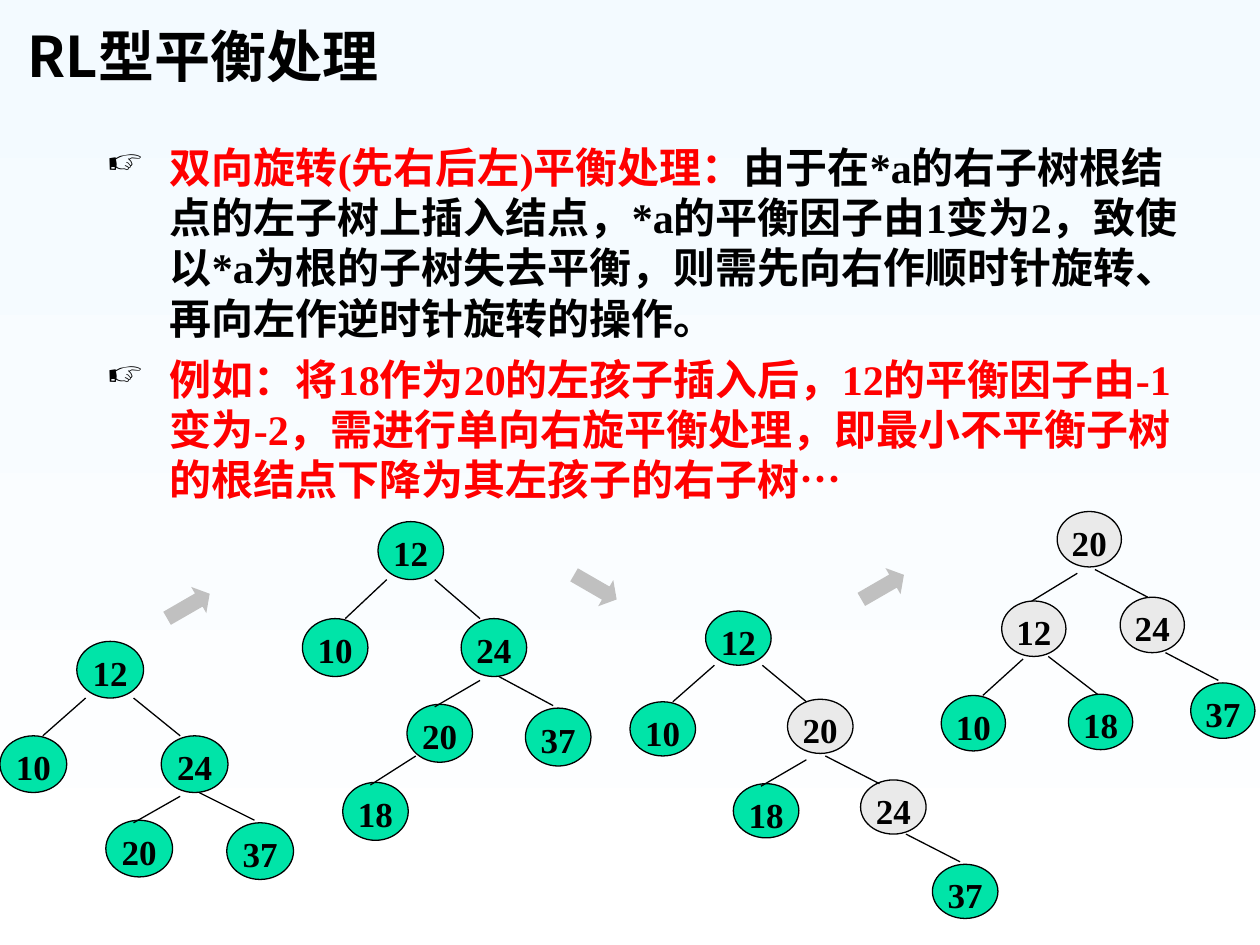
from lxml.etree import SubElement
from pptx import Presentation
from pptx.dml.color import RGBColor
from pptx.enum.shapes import MSO_CONNECTOR, MSO_SHAPE
from pptx.enum.text import MSO_ANCHOR, PP_ALIGN
from pptx.oxml.ns import qn
from pptx.util import Inches, Pt

BLACK, RED, GREEN, PALE, SILVER = "000000", "FF0000", "00E4A8", "EAEAEA", "C0C0C0"
CJK_FONT, LATIN_FONT = "Noto Sans CJK SC", "Times New Roman"

TITLE = "RL型平衡处理"
BULLETS = [
    [("双向旋转(先右后左)平衡处理：", RED),
     ("由于在*a的右子树根结点的左子树上插入结点，*a的平衡因子由1变为2，"
      "致使以*a为根的子树失去平衡，则需先向右作顺时针旋转、再向左作逆时针旋转的操作。", BLACK)],
    [("例如：将18作为20的左孩子插入后，12的平衡因子由-1变为-2，需进行单向右旋平衡处理，"
      "即最小不平衡子树的根结点下降为其左孩子的右子树…", RED)],
]

WIDE_LEFT, WIDE_RIGHT = (0.07, 0, 0.34, 0), (0.45, 0, 0.15, 0)
NEAR_LEFT, NEAR_RIGHT = (0.15, 0.03, 0.22, 0.02), (0.3, 0, 0.22, -0.02)
FAR_RIGHT = (0.36, 0, 0.22, -0.02)

TREES = [
    ((0, 5.09), (0.53, 0.45), {
        "12": (0.61, 0, GREEN, None, None),
        "10": (0, 0.75, GREEN, "12", WIDE_LEFT),
        "24": (1.28, 0.75, GREEN, "12", WIDE_RIGHT),
        "20": (0.84, 1.42, GREEN, "24", NEAR_LEFT),
        "37": (1.8, 1.44, GREEN, "24", NEAR_RIGHT)}),
    ((2.4, 4.14), (0.52, 0.46), {
        "12": (0.6, 0, GREEN, None, None),
        "10": (0, 0.77, GREEN, "12", WIDE_LEFT),
        "24": (1.26, 0.77, GREEN, "12", WIDE_RIGHT),
        "20": (0.83, 1.45, GREEN, "24", NEAR_LEFT),
        "37": (1.77, 1.48, GREEN, "24", NEAR_RIGHT),
        "18": (0.32, 2.07, GREEN, "20", (0.07, -0.05, 0.22, 0.02))}),
    ((5, 4.85), (0.52, 0.43), {
        "12": (0.6, 0, GREEN, None, None),
        "10": (0, 0.72, GREEN, "12", WIDE_LEFT),
        "20": (1.25, 0.7, PALE, "12", (0.45, 0, 0.15, 0.02)),
        "18": (0.82, 1.37, GREEN, "20", (0.15, 0.05, 0.22, 0.02)),
        "24": (1.83, 1.34, PALE, "20", (0.3, 0.02, 0.15, 0.03)),
        "37": (2.4, 2.01, GREEN, "24", FAR_RIGHT)}),
    ((7.47, 4.06), (0.51, 0.44), {
        "20": (0.92, 0, PALE, None, None),
        "12": (0.48, 0.71, PALE, "20", (0.16, 0.05, 0.24, 0)),
        "24": (1.42, 0.68, PALE, "20", (0.3, 0.02, 0.22, 0)),
        "37": (1.98, 1.36, GREEN, "24", FAR_RIGHT),
        "10": (0, 1.46, GREEN, "12", (0.17, 0.02, 0.33, 0)),
        "18": (1.01, 1.45, GREEN, "12", (0.37, 0, 0.23, 0))}),
]
ARROWS = [(1.3, 4.69, 330), (4.53, 4.54, 30), (6.81, 4.54, 330)]


def color(value):
    """Turn a hex string into a colour."""
    return RGBColor.from_string(value)


def apply(target, values):
    """Set every attribute named in a dict of format values."""
    for name, value in values.items():
        setattr(target, name, value)


def add_run(paragraph, text, size, font_name, hex_color):
    """Add a bold run with Latin and East Asian fonts."""
    run = paragraph.add_run()
    run.text = text
    apply(run.font, {"size": Pt(size), "bold": True, "name": font_name})
    run.font.color.rgb = color(hex_color)
    SubElement(run.font._element, qn("a:ea"), typeface=CJK_FONT)


def add_bullet(paragraph):
    """Give a paragraph a hanging pointing-hand bullet."""
    properties = paragraph._p.get_or_add_pPr()
    apply_indent = {"marL": Inches(0.5), "indent": Inches(-0.5)}
    for name, value in apply_indent.items():
        properties.set(name, str(int(value)))
    bullet_color = SubElement(properties, qn("a:buClr"))
    SubElement(bullet_color, qn("a:srgbClr"), val=BLACK)
    SubElement(properties, qn("a:buSzPct"), val="85000")
    SubElement(properties, qn("a:buChar"), char="☞")


def add_title(slide, left, top, width, height):
    """Place the heading at the bottom of its box."""
    frame = slide.shapes.add_textbox(*map(Inches, (left, top, width, height))).text_frame
    apply(frame, {"word_wrap": True, "vertical_anchor": MSO_ANCHOR.BOTTOM})
    frame.paragraphs[0].line_spacing = Pt(38.4)
    add_run(frame.paragraphs[0], TITLE, 32, CJK_FONT, BLACK)


def add_body(slide, left, top, width, height):
    """Place the bulleted explanation."""
    frame = slide.shapes.add_textbox(*map(Inches, (left, top, width, height))).text_frame
    frame.word_wrap = True
    for index, runs in enumerate(BULLETS):
        paragraph = frame.add_paragraph() if index else frame.paragraphs[0]
        apply(paragraph, {"line_spacing": Pt(28.8), "space_before": Pt(6 if index else 0)})
        add_bullet(paragraph)
        for text, hex_color in runs:
            add_run(paragraph, text, 24, LATIN_FONT, hex_color)


def add_node(group, left, top, size, text, fill):
    """Add one round tree node with its value."""
    node = group.shapes.add_shape(MSO_SHAPE.OVAL, *map(Inches, (left, top, *size)))
    node.shadow.inherit = False
    node.fill.solid()
    node.fill.fore_color.rgb = color(fill)
    node.line.color.rgb = color(BLACK)
    node.line.width = Pt(0.75)
    apply(node.text_frame, {"margin_left": 0, "margin_right": 0, "margin_bottom": 0,
                            "margin_top": Inches(0.12), "vertical_anchor": MSO_ANCHOR.TOP})
    paragraph = node.text_frame.paragraphs[0]
    apply(paragraph, {"alignment": PP_ALIGN.CENTER, "line_spacing": 0.64})
    add_run(paragraph, text, 20, LATIN_FONT, BLACK)


def add_edge(group, *ends):
    """Join two points with a thin line."""
    edge = group.shapes.add_connector(MSO_CONNECTOR.STRAIGHT, *map(Inches, ends))
    edge.line.color.rgb = color(BLACK)
    edge.line.width = Pt(0.75)
    SubElement(edge._element.spPr, qn("a:effectLst"))


def add_tree(slide, left, top, size, nodes):
    """Draw a tree from its top left corner, nodes first and edges over them."""
    group = slide.shapes.add_group_shape()
    for text, (x, y, fill, _, _) in nodes.items():
        add_node(group, left + x, top + y, size, text, fill)
    for x, y, _, parent, link in nodes.values():
        if parent:
            parent_x, parent_y = nodes[parent][:2]
            start_x, start_y, end_x, end_y = link
            add_edge(group, left + parent_x + start_x, top + parent_y + size[1] + start_y,
                     left + x + end_x, top + y + end_y)


def add_arrow(slide, left, top, rotation):
    """Add a grey arrow between two trees."""
    arrow = slide.shapes.add_shape(MSO_SHAPE.RIGHT_ARROW,
                                   *map(Inches, (left, top, 0.39, 0.24)))
    arrow.shadow.inherit = False
    arrow.rotation = rotation
    arrow.adjustments[0], arrow.adjustments[1] = 0.5, 0.415
    arrow.fill.solid()
    arrow.fill.fore_color.rgb = color(SILVER)
    arrow.line.fill.background()


def set_background(slide):
    """Fade the background from pale blue down to white."""
    fill = slide.background.fill
    fill.gradient()
    fill.gradient_angle = 270
    for stop, value in zip(fill.gradient_stops, ("F3FAFF", "FFFFFF")):
        stop.color.rgb = color(value)


def main():
    """Build and save the slide."""
    presentation = Presentation()
    apply(presentation, {"slide_width": Inches(10), "slide_height": Inches(7.5)})
    slide = presentation.slides.add_slide(presentation.slide_layouts[6])
    set_background(slide)
    add_title(slide, 0.12, 0.05, 8.52, 0.7)
    add_body(slide, 0.75, 1.07, 8.9, 2.99)
    for corner, size, nodes in TREES:
        add_tree(slide, *corner, size, nodes)
    for left, top, rotation in ARROWS:
        add_arrow(slide, left, top, rotation)
    presentation.save("out.pptx")


if __name__ == "__main__":
    main()
